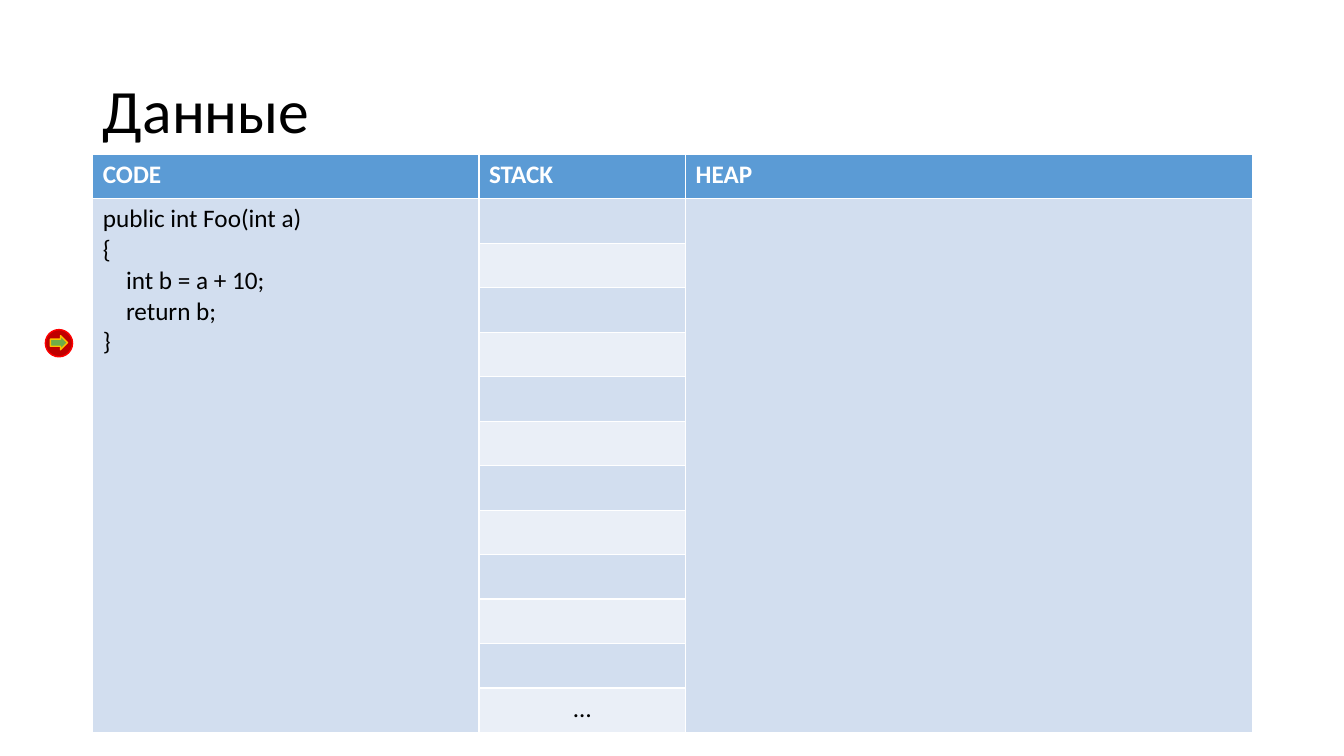
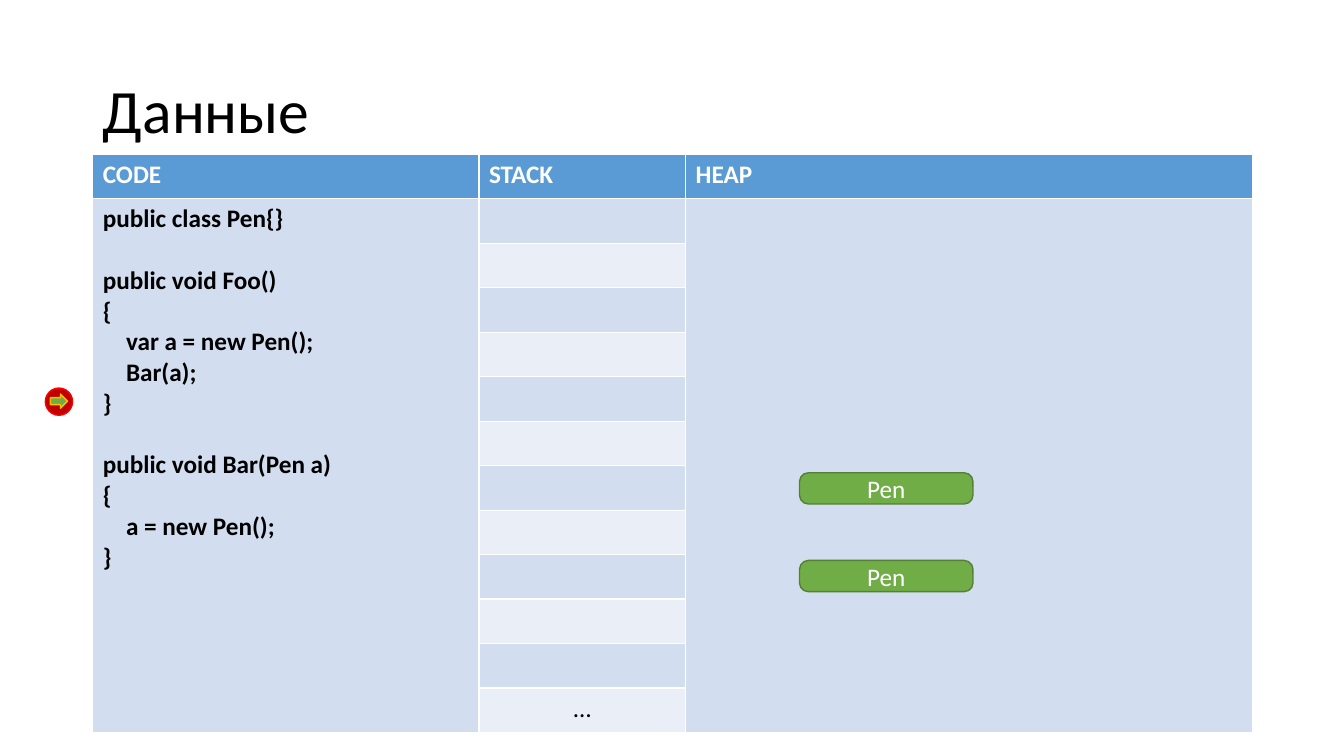
"""Build two slides that show code next to the stack and the heap."""
from pptx import Presentation
from pptx.dml.color import RGBColor
from pptx.enum.shapes import MSO_SHAPE
from pptx.enum.text import MSO_ANCHOR, MSO_AUTO_SIZE, PP_ALIGN
from pptx.util import Inches, Pt

BLACK = RGBColor(0x00, 0x00, 0x00)
WHITE = RGBColor(0xFF, 0xFF, 0xFF)
HEADER_BLUE = RGBColor(0x5B, 0x9B, 0xD5)
DARK_BAND = RGBColor(0xD2, 0xDE, 0xEF)
LIGHT_BAND = RGBColor(0xEA, 0xEF, 0xF7)
GREEN = RGBColor(0x70, 0xAD, 0x47)
DARK_GREEN = RGBColor(0x53, 0x80, 0x35)
DARK_RED = RGBColor(0xC0, 0x00, 0x00)
RED = RGBColor(0xFF, 0x00, 0x00)
GOLD = RGBColor(0xFF, 0xC0, 0x00)

FONT = "Calibri"
HEADINGS = ("CODE", "STACK", "HEAP")
COLUMN_WIDTHS = (3.83, 2.05, 5.62)
ROW_COUNT = 13
BLANK_LINE = Pt(22)
CODE_INDENT = Inches(0.23)

FOO_INT = """public int Foo(int a)
{
    int b = a + 10;
    return b;
}"""

FOO_BAR = """public class Pen{}

public void Foo()
{
    var a = new Pen();
    Bar(a);
}

public void Bar(Pen a)
{
    a = new Pen();
}"""

STEPS = (
    {"code": FOO_INT, "bold": False, "marker_top": 3.27, "pen_tops": ()},
    {"code": FOO_BAR, "bold": True, "marker_top": 3.85, "pen_tops": (5.56, 4.69)},
)


def write(paragraph, text, color, size=18, bold=False):
    run = paragraph.add_run()
    run.text = text
    run.font.name = FONT
    run.font.size = Pt(size)
    run.font.bold = bold
    run.font.color.rgb = color


def draw(shapes, preset, left, top, width, height, fill, outline):
    shape = shapes.add_shape(preset, Inches(left), Inches(top), Inches(width), Inches(height))
    shape.shadow.inherit = False
    shape.fill.solid()
    shape.fill.fore_color.rgb = fill
    shape.line.color.rgb = outline
    shape.line.width = Pt(1)
    return shape


prs = Presentation()
prs.slide_width = Inches(13.33)
prs.slide_height = Inches(7.5)

for step in STEPS:
    slide = prs.slides.add_slide(prs.slide_layouts[5])

    title = slide.shapes.title
    title.left, title.top = Inches(0.92), Inches(0.4)
    title.width, title.height = Inches(11.5), Inches(1.45)
    title.text_frame.auto_size = MSO_AUTO_SIZE.NONE
    title.text_frame.vertical_anchor = MSO_ANCHOR.MIDDLE
    heading = title.text_frame.paragraphs[0]
    heading.alignment = PP_ALIGN.LEFT
    heading.line_spacing = 0.9
    write(heading, "Данные", BLACK, size=44)

    memory = slide.shapes.add_table(
        ROW_COUNT, len(HEADINGS), Inches(0.92), Inches(1.53), Inches(11.5), Inches(5.74)
    ).table
    for column, width in zip(memory.columns, COLUMN_WIDTHS):
        column.width = Inches(width)
    for row in range(ROW_COUNT):
        band = HEADER_BLUE if row == 0 else DARK_BAND if row % 2 else LIGHT_BAND
        for column in range(len(HEADINGS)):
            cell = memory.cell(row, column)
            cell.fill.solid()
            cell.fill.fore_color.rgb = band
    for column, name in enumerate(HEADINGS):
        write(memory.cell(0, column).text_frame.paragraphs[0], name, WHITE, bold=True)
    for column in (0, 2):
        memory.cell(1, column).merge(memory.cell(ROW_COUNT - 1, column))

    code_frame = memory.cell(1, 0).text_frame
    for block_number, block in enumerate(step["code"].split("\n\n")):
        for line_number, line in enumerate(block.split("\n")):
            first = block_number == line_number == 0
            paragraph = code_frame.paragraphs[0] if first else code_frame.add_paragraph()
            if block_number and line_number == 0:
                paragraph.space_before = BLANK_LINE
            if line.startswith(" "):
                paragraph._p.get_or_add_pPr().set("marL", str(CODE_INDENT))
            write(paragraph, line.strip(), BLACK, bold=step["bold"])

    stack_end = memory.cell(ROW_COUNT - 1, 1).text_frame.paragraphs[0]
    stack_end.alignment = PP_ALIGN.CENTER
    write(stack_end, "…", BLACK)

    for top in step["pen_tops"]:
        pen = draw(slide.shapes, MSO_SHAPE.ROUNDED_RECTANGLE, 7.93, top, 1.72, 0.31, GREEN, DARK_GREEN)
        pen.adjustments[0] = 0.28
        pen.text_frame.vertical_anchor = MSO_ANCHOR.MIDDLE
        label = pen.text_frame.paragraphs[0]
        label.alignment = PP_ALIGN.CENTER
        write(label, "Pen", WHITE)

    marker = slide.shapes.add_group_shape().shapes
    marker_top = step["marker_top"]
    draw(marker, MSO_SHAPE.OVAL, 0.45, marker_top, 0.27, 0.27, DARK_RED, RED)
    draw(marker, MSO_SHAPE.RIGHT_ARROW, 0.5, marker_top + 0.06, 0.17, 0.14, GREEN, GOLD)

prs.save("out.pptx")
